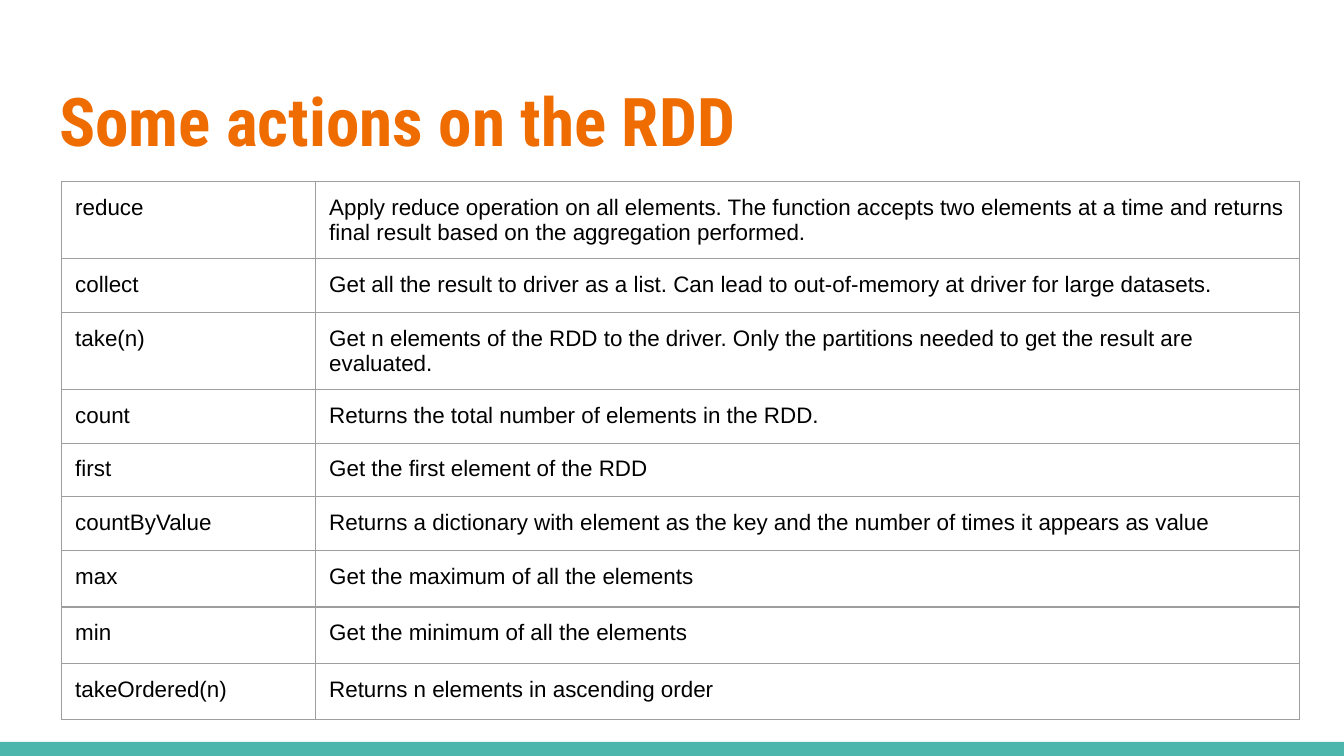
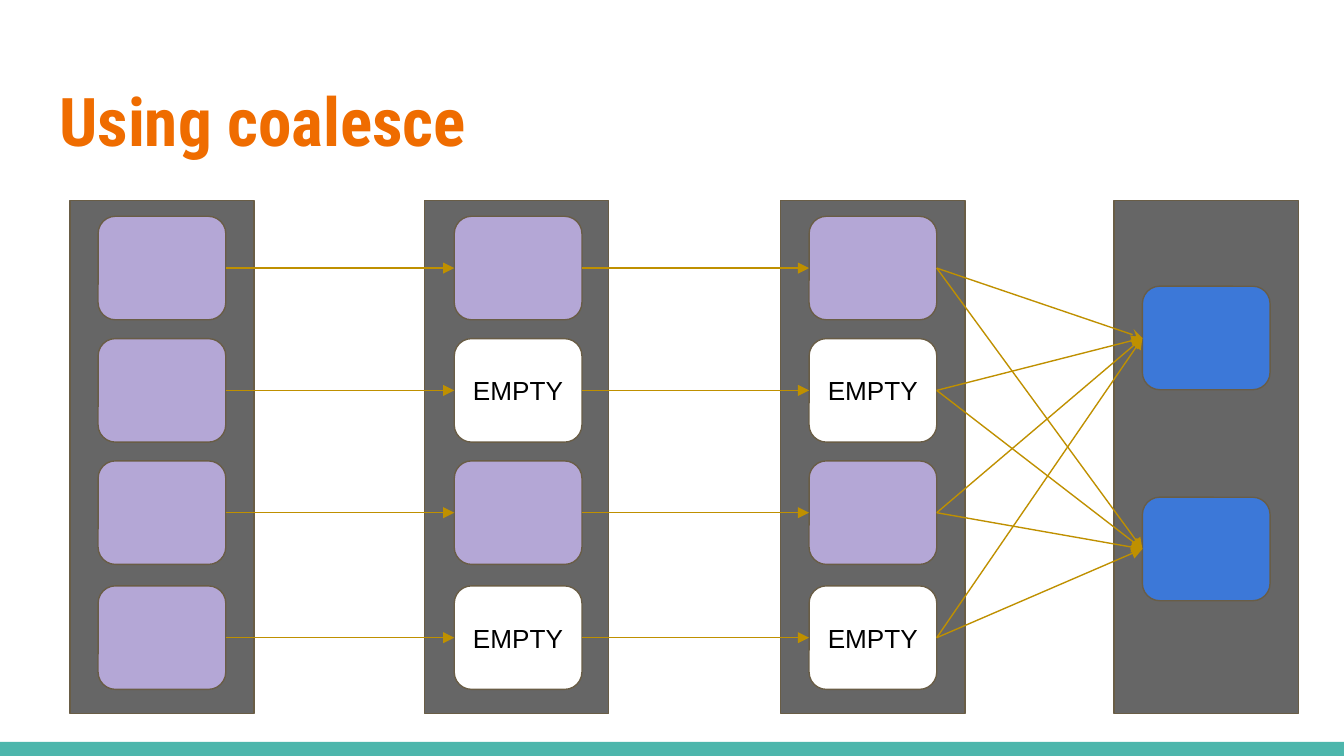
"""Builds two slides on RDD actions and the coalesce operation."""
from itertools import product

from lxml import etree
from pptx import Presentation
from pptx.dml.color import RGBColor
from pptx.enum.shapes import MSO_CONNECTOR, MSO_SHAPE
from pptx.enum.text import MSO_ANCHOR, MSO_AUTO_SIZE, PP_ALIGN
from pptx.oxml import parse_xml
from pptx.oxml.ns import qn
from pptx.util import Inches, Pt

RECT, ROUND = MSO_SHAPE.RECTANGLE, MSO_SHAPE.ROUNDED_RECTANGLE
STRAIGHT = MSO_CONNECTOR.STRAIGHT
TOP, MIDDLE = MSO_ANCHOR.TOP, MSO_ANCHOR.MIDDLE
LEFT, CENTER = PP_ALIGN.LEFT, PP_ALIGN.CENTER
FIXED = MSO_AUTO_SIZE.NONE

BLACK = RGBColor(0x00, 0x00, 0x00)
WHITE = RGBColor(0xFF, 0xFF, 0xFF)
ORANGE = RGBColor(0xEF, 0x6C, 0x00)
TEAL = RGBColor(0x4D, 0xB6, 0xAC)
GREY = RGBColor(0x66, 0x66, 0x66)
BROWN = RGBColor(0x69, 0x5D, 0x46)
LILAC = RGBColor(0xB4, 0xA7, 0xD6)
BLUE = RGBColor(0x3C, 0x78, 0xD8)
GOLD = RGBColor(0xBF, 0x90, 0x00)
RULE = RGBColor(0x9E, 0x9E, 0x9E)


def write(frame, text, size=12, font="Arial", color=BLACK, bold=False, align=LEFT):
    para = frame.paragraphs[0]
    para.alignment = align
    run = para.add_run()
    run.text = text
    run.font.size = Pt(size)
    run.font.name = font
    run.font.color.rgb = color
    run.font.bold = bold


def draw(slide, kind, left, top, width, height, fill, line=None):
    shape = slide.shapes.add_shape(
        kind, Inches(left), Inches(top), Inches(width), Inches(height))
    shape.shadow.inherit = False
    shape.fill.solid()
    shape.fill.fore_color.rgb = fill
    if line is None:
        shape.line.fill.background()
    else:
        shape.line.color.rgb = line
        shape.line.width = Pt(0.75)
    return shape


deck = Presentation()
deck.slide_width = Inches(10)
deck.slide_height = deck.slide_width * 9 // 16
layout = deck.slide_layouts[5]
slides = []
for text in ("Some actions on the RDD", "Using coalesce"):
    slide = deck.slides.add_slide(layout)
    title = slide.shapes.title
    title.left, title.top = Inches(0.34), Inches(0.49)
    title.width, title.height = Inches(9.32), Inches(0.77)
    frame = title.text_frame
    frame.margin_left = frame.margin_right = Inches(0.1)
    frame.margin_top = frame.margin_bottom = Inches(0.1)
    frame.vertical_anchor = TOP
    frame.word_wrap = True
    frame.auto_size = FIXED
    write(frame, text, size=36, font="Roboto Condensed", color=ORANGE, bold=True)
    slides.append(slide)
actions, flow = slides

band = draw(actions, RECT, 0, 5.52, 10, 0.11, TEAL)
band.element.nvSpPr.cNvPr.set("id", "99")
layout.shapes.element.append(band.element)

rows = [
    ("reduce", "Apply reduce operation on all elements. The function accepts two elements "
     "at a time and returns final result based on the aggregation performed."),
    ("collect", "Get all the result to driver as a list. "
     "Can lead to out-of-memory at driver for large datasets."),
    ("take(n)", "Get n elements of the RDD to the driver. "
     "Only the partitions needed to get the result are evaluated."),
    ("count", "Returns the total number of elements in the RDD."),
    ("first", "Get the first element of the RDD"),
    ("countByValue", "Returns a dictionary with element as the key "
     "and the number of times it appears as value"),
    ("max", "Get the maximum of all the elements"),
    ("min", "Get the minimum of all the elements"),
    ("takeOrdered(n)", "Returns n elements in ascending order"),
]
wides = (1.89, 7.32)
highs = [0.42] + [0.4] * 5 + [0.42] * 3
table = actions.shapes.add_table(
    len(rows), len(wides), Inches(0.46), Inches(1.35),
    Inches(sum(wides)), Inches(sum(highs))).table
table.first_row = table.horz_banding = False
for col, wide in zip(table.columns, wides):
    col.width = Inches(wide)
for row, high, texts in zip(table.rows, highs, rows):
    row.height = Inches(high)
    for cell, text in zip(row.cells, texts):
        cell.margin_left = cell.margin_right = Inches(0.1)
        cell.margin_top = cell.margin_bottom = Inches(0.1)
        props = cell._tc.get_or_add_tcPr()
        for side in "LRTB":
            props.append(parse_xml(
                f'<a:ln{side} xmlns:a="http://schemas.openxmlformats.org/drawingml/2006/main"'
                f' w="{Pt(0.75)}"><a:solidFill><a:srgbClr val="{RULE}"/></a:solidFill>'
                f'</a:ln{side}>'))
        cell.fill.background()
        write(cell.text_frame, text)

four, two = (1.61, 2.52, 3.43, 4.36), (2.13, 3.7)
full, mixed = [LILAC] * 4, [LILAC, WHITE] * 2
stages = [(0.52, 0.73, four, full), (3.16, 3.38, four, mixed),
          (5.81, 6.02, four, mixed), (8.29, 8.5, two, [BLUE] * 2)]
parts = []
for left, inner, tops, fills in stages:
    draw(flow, RECT, left, 1.49, 1.37, 3.82, GREY, BROWN)
    boxes = []
    for top, fill in zip(tops, fills):
        box = draw(flow, ROUND, inner, top, 0.95, 0.77, fill, BROWN)
        box.adjustments[0] = 0.167
        if fill == WHITE:
            frame = box.text_frame
            frame.margin_top = frame.margin_bottom = Inches(0.1)
            frame.vertical_anchor = MIDDLE
            frame.word_wrap = False
            write(frame, "EMPTY", size=14, align=CENTER)
        boxes.append(box)
    parts.append(boxes)

one, mid, last, out = parts
fan = list(product(last, out))
for start, end in [*zip(one, mid), *zip(mid, last), *fan]:
    arrow = flow.shapes.add_connector(STRAIGHT, 0, 0, 0, 0)
    arrow.begin_connect(start, 3)
    arrow.end_connect(end, 1)
    arrow.line.color.rgb = GOLD
    arrow.line.width = Pt(0.75)
    head = "stealth" if (start, end) == fan[0] else "triangle"
    etree.SubElement(arrow.line._get_or_add_ln(), qn("a:tailEnd"), type=head)
    etree.SubElement(arrow.element.spPr, qn("a:effectLst"))

deck.save("out.pptx")
